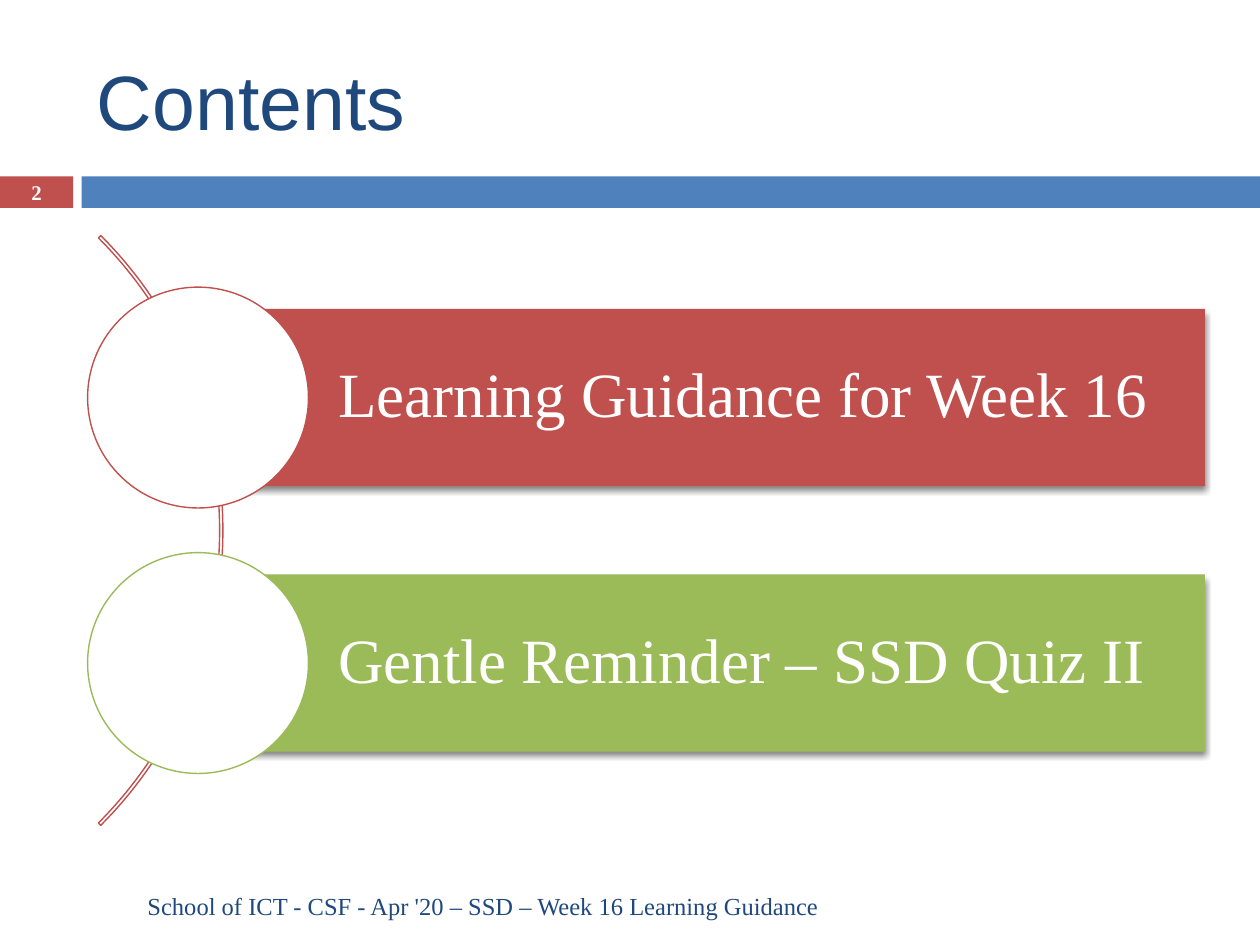
import dataclasses

import lxml.etree
import pptx
import pptx.dml.color
import pptx.enum.shapes
import pptx.enum.text
import pptx.oxml.ns
import pptx.util

Pt = pptx.util.Pt
Shape = pptx.enum.shapes.MSO_SHAPE
Align = pptx.enum.text.PP_ALIGN


@dataclasses.dataclass(frozen=True)
class Theme:
    navy: str = "1F497D"
    blue: str = "4F81BD"
    red: str = "C0504D"
    green: str = "9BBB59"
    white: str = "FFFFFF"
    black: str = "000000"
    heading_font: str = "Arial"
    body_font: str = "Times New Roman"
    title_size: float = 44
    topic_size: float = 36
    footer_size: float = 14
    number_size: float = 11.9
    outline: float = 0.79


def rgb(color):
    return pptx.dml.color.RGBColor.from_string(color)


def write_text(frame, text, *, font, size, color, bold=False, align=Align.LEFT,
               line_spacing=None, insets=(7.2, 3.6, 7.2, 3.6)):
    """Fill a text frame with one paragraph; insets run left, top, right, bottom."""
    frame.word_wrap = True
    frame.auto_size = pptx.enum.text.MSO_AUTO_SIZE.NONE
    frame.vertical_anchor = pptx.enum.text.MSO_ANCHOR.MIDDLE
    (frame.margin_left, frame.margin_top,
     frame.margin_right, frame.margin_bottom) = map(Pt, insets)
    paragraph = frame.paragraphs[0]
    paragraph.alignment = align
    paragraph.line_spacing = line_spacing
    run = paragraph.add_run()
    run.text = text
    run.font.name = font
    run.font.size = Pt(size)
    run.font.bold = bold
    run.font.color.rgb = rgb(color)


class SlideBuilder:
    def __init__(self, slide, theme):
        self.slide = slide
        self.theme = theme

    def title(self, text, left, top, width, height):
        title = self.slide.shapes.title
        title.left, title.top, title.width, title.height = map(
            Pt, (left, top, width, height))
        write_text(title.text_frame, text, font=self.theme.heading_font,
                   size=self.theme.title_size, color=self.theme.navy)

    def shape(self, kind, left, top, width, height, fill=None, line=None):
        shape = self.slide.shapes.add_shape(
            kind, *map(Pt, (left, top, width, height)))
        shape.shadow.inherit = False
        if fill:
            shape.fill.solid()
            shape.fill.fore_color.rgb = rgb(fill)
        else:
            shape.fill.background()
        if line:
            shape.line.color.rgb = rgb(line)
            shape.line.width = Pt(self.theme.outline)
        else:
            shape.line.fill.background()
        return shape

    def drop_shadow(self, shape):
        qn = pptx.oxml.ns.qn
        effects = shape._element.spPr.find(qn("a:effectLst"))
        shadow = lxml.etree.SubElement(
            effects, qn("a:outerShdw"), blurRad=str(Pt(3)), dist=str(Pt(2.4)),
            dir="5400000", rotWithShape="0")
        color = lxml.etree.SubElement(
            shadow, qn("a:srgbClr"), val=self.theme.black)
        lxml.etree.SubElement(color, qn("a:alpha"), val="45000")

    def header_band(self, number):
        top, height = 100.8, 18
        number_tab = self.shape(Shape.RECTANGLE, 0, top, 41.8, height,
                                fill=self.theme.red)
        write_text(number_tab.text_frame, number, font=self.theme.body_font,
                   size=self.theme.number_size, color=self.theme.white,
                   bold=True, align=Align.CENTER, insets=(0, 0, 0, 0))
        self.shape(Shape.RECTANGLE, 46.6, top, 673.4, height,
                   fill=self.theme.blue)

    def arc(self, left, top, diameter):
        arc = self.shape(Shape.BLOCK_ARC, left, top, diameter, diameter,
                         line=self.theme.red)
        for index, value in enumerate((189, 27, 0.004)):
            arc.adjustments[index] = value

    def topic(self, text, center_y, color):
        """Draw a topic bar with a circle centred on its left end."""
        left, width, height, diameter = 113.2, 575.3, 101.2, 126.2
        bar = self.shape(Shape.RECTANGLE, left, center_y - height / 2,
                         width, height, fill=color)
        self.drop_shadow(bar)
        write_text(bar.text_frame, text, font=self.theme.body_font,
                   size=self.theme.topic_size, color=self.theme.white,
                   line_spacing=0.9, insets=(80.2, 7.2, 7.2, 7.2))
        self.shape(Shape.OVAL, left - diameter / 2, center_y - diameter / 2,
                   diameter, diameter, fill=self.theme.white, line=color)

    def footer(self, text, left, top, width, height):
        box = self.slide.shapes.add_textbox(
            *map(Pt, (left, top, width, height)))
        write_text(box.text_frame, text, font=self.theme.body_font,
                   size=self.theme.footer_size, color=self.theme.navy,
                   align=Align.RIGHT)


def main():
    presentation = pptx.Presentation()
    presentation.slide_width, presentation.slide_height = Pt(720), Pt(540)
    theme = Theme()
    title_only = presentation.slide_layouts[5]
    builder = SlideBuilder(presentation.slides.add_slide(title_only), theme)

    builder.header_band("2")
    builder.title("Contents", 48.2, 18, 690.2 - 48.2 + 48.2, 77.8)
    builder.arc(-349.2, 64.8, 476.6)
    topics = (("Learning Guidance for Week 16", theme.red),
              ("Gentle Reminder – SSD Quiz II", theme.green))
    for index, (text, color) in enumerate(topics):
        builder.topic(text, 227.2 + index * 151.7, color)
    builder.footer(
        "School of ICT - CSF - Apr '20 – SSD – Week 16 Learning Guidance",
        48.2, 503.3, 427, 28.8)

    presentation.save("out.pptx")


if __name__ == "__main__":
    main()
